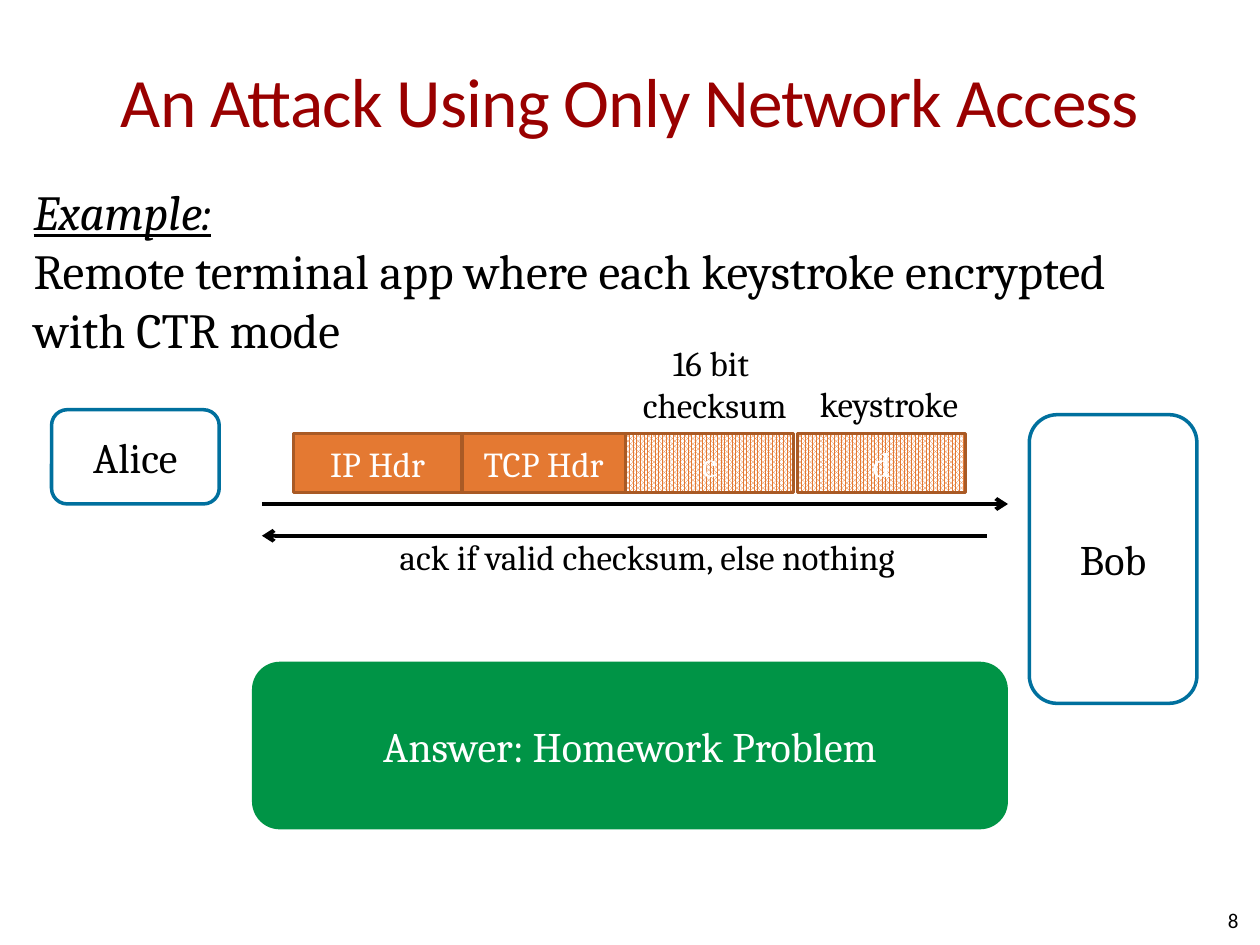
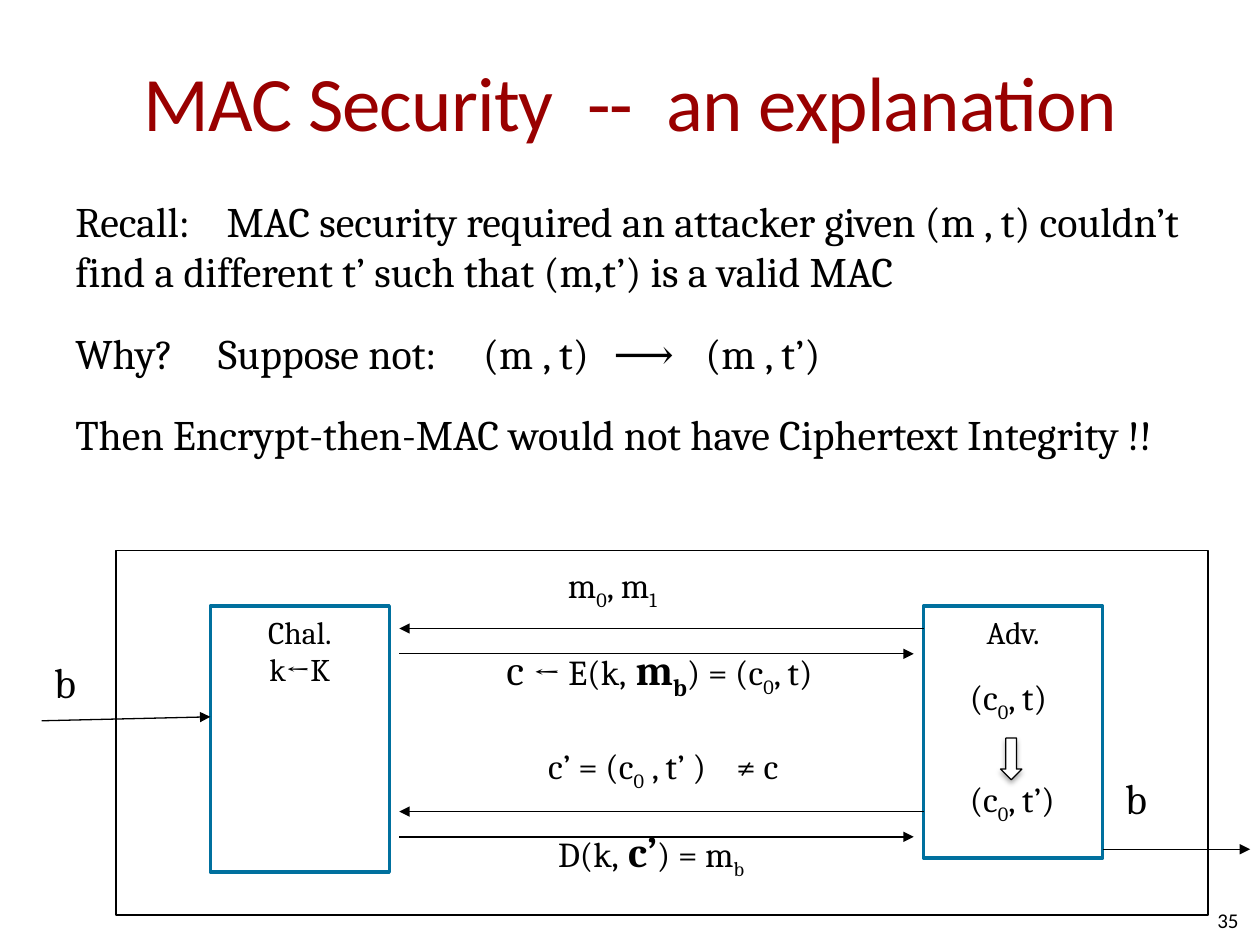
"""Build two lecture slides: a network attack on CTR mode, and why MAC security matters."""

from dataclasses import dataclass

from lxml.etree import SubElement
from pptx import Presentation
from pptx.dml.color import RGBColor
from pptx.enum.dml import MSO_PATTERN
from pptx.enum.shapes import MSO_CONNECTOR, MSO_SHAPE
from pptx.enum.text import MSO_ANCHOR, MSO_AUTO_SIZE, PP_ALIGN
from pptx.oxml.ns import qn
from pptx.util import Cm, Pt

BLACK = "000000"
WHITE = "FFFFFF"
TITLE_RED = "990000"
PARTY_BLUE = "00709E"
PACKET_ORANGE = "E47932"
PACKET_EDGE = "A95A25"
ANSWER_GREEN = "009446"
BODY_FONT = "Cambria"
TITLE_FONT = "Calibri"
TITLE_SPACING = -0.5
NO_INSETS = (0, 0)
TEXT_INSETS = (0.25, 0.13)


@dataclass(frozen=True)
class Span:
    text: str
    size: float | None = None
    bold: bool = False
    emphasis: bool = False
    subscript: bool = False
    spacing: float | None = None


@dataclass(frozen=True)
class Area:
    left: float
    top: float
    width: float
    height: float


@dataclass(frozen=True)
class TextStyle:
    size: float
    color: str = BLACK
    align: PP_ALIGN = PP_ALIGN.LEFT
    anchor: MSO_ANCHOR = MSO_ANCHOR.TOP
    insets: tuple = TEXT_INSETS
    wrap: bool = True
    font: str = BODY_FONT
    space_before: float = 0
    fit: bool = False


@dataclass(frozen=True)
class Box:
    area: Area
    lines: tuple = ()
    style: TextStyle | None = None
    preset: MSO_SHAPE = MSO_SHAPE.RECTANGLE
    fill: str | None = WHITE
    edge: str | None = PARTY_BLUE
    edge_width: float = 2
    hatched: bool = False


@dataclass(frozen=True)
class Label:
    area: Area
    lines: tuple
    style: TextStyle


@dataclass(frozen=True)
class Arrow:
    start: tuple
    end: tuple
    width: float = 0.75
    head: str = "triangle"


def centred(size: float, color: str = BLACK) -> TextStyle:
    return TextStyle(size, color, PP_ALIGN.CENTER, MSO_ANCHOR.MIDDLE, NO_INSETS)


TITLE_INSETS = (0, 0.13)
NUMBER = TextStyle(12, align=PP_ALIGN.RIGHT, anchor=MSO_ANCHOR.MIDDLE,
                   insets=NO_INSETS, font=TITLE_FONT)
INTRO = TextStyle(28)
RECALL = TextStyle(24, space_before=17.8)
FIELD = centred(20, WHITE)
PARTY = centred(24)
ANSWER = centred(24, WHITE)
CAPTION = TextStyle(20, align=PP_ALIGN.CENTER, insets=NO_INSETS, wrap=False, fit=True)
MESSAGE = TextStyle(20, wrap=False, fit=True)
BIT = TextStyle(24, wrap=False, fit=True)
PLAYER = TextStyle(18, align=PP_ALIGN.CENTER, wrap=False)


def rgb(color: str) -> RGBColor:
    return RGBColor.from_string(color)


def place(shape, area: Area) -> None:
    shape.left, shape.top = Cm(area.left), Cm(area.top)
    shape.width, shape.height = Cm(area.width), Cm(area.height)


def add_span(para, span: Span) -> None:
    run = para.add_run()
    run.text = span.text
    if span.size:
        run.font.size = Pt(span.size)
    if span.bold:
        run.font.bold = True
    if span.emphasis:
        run.font.italic = run.font.underline = True
    properties = run._r.get_or_add_rPr()
    if span.subscript:
        properties.set("baseline", "-25000")
    if span.spacing is not None:
        properties.set("spc", str(round(span.spacing * 100)))


def add_tabs(para, stops: tuple) -> None:
    tab_list = SubElement(para._p.get_or_add_pPr(), qn("a:tabLst"))
    for stop in stops:
        SubElement(tab_list, qn("a:tab"), pos=str(Cm(stop)), algn="l")


def write(shape, lines: tuple, style: TextStyle, tabs: tuple = ()) -> None:
    frame = shape.text_frame
    frame.word_wrap = style.wrap
    frame.auto_size = MSO_AUTO_SIZE.SHAPE_TO_FIT_TEXT if style.fit else MSO_AUTO_SIZE.NONE
    frame.vertical_anchor = style.anchor
    frame.margin_left = frame.margin_right = Cm(style.insets[0])
    frame.margin_top = frame.margin_bottom = Cm(style.insets[1])
    for index, line in enumerate(lines):
        para = frame.add_paragraph() if index else frame.paragraphs[0]
        para.alignment = style.align
        para.space_before = Pt(style.space_before if index else 0)
        if index < len(tabs):
            add_tabs(para, tabs[index])
        para.font.name = style.font
        para.font.size = Pt(style.size)
        para.font.color.rgb = rgb(style.color)
        for span in (Span(line),) if isinstance(line, str) else line:
            add_span(para, span)


def draw_label(page, label: Label, tabs: tuple = ()) -> None:
    shape = page.shapes.add_textbox(0, 0, 0, 0)
    place(shape, label.area)
    write(shape, label.lines, label.style, tabs)


def draw_box(page, box: Box):
    shape = page.shapes.add_shape(box.preset, 0, 0, 0, 0)
    place(shape, box.area)
    shape.shadow.inherit = False
    if box.hatched:
        shape.fill.patterned()
        shape.fill.pattern = MSO_PATTERN.PERCENT_80
        shape.fill.fore_color.rgb = rgb(box.fill)
        shape.fill.back_color.rgb = rgb(WHITE)
    elif box.fill:
        shape.fill.solid()
        shape.fill.fore_color.rgb = rgb(box.fill)
    else:
        shape.fill.background()
    if box.edge:
        shape.line.color.rgb = rgb(box.edge)
        shape.line.width = Pt(box.edge_width)
    else:
        shape.line.fill.background()
    if box.style:
        write(shape, box.lines, box.style)
    return shape


def draw_arrow(page, arrow: Arrow) -> None:
    points = [Cm(length) for length in (*arrow.start, *arrow.end)]
    line = page.shapes.add_connector(MSO_CONNECTOR.STRAIGHT, *points)
    line.line.color.rgb = rgb(BLACK)
    line.line.width = Pt(arrow.width)
    SubElement(line.line._get_or_add_ln(), qn("a:tailEnd"), type=arrow.head)
    SubElement(line._element.spPr, qn("a:effectLst"))


def add_soft_shadow(shape) -> None:
    effects = shape._element.spPr.find(qn("a:effectLst"))
    shadow = SubElement(effects, qn("a:outerShdw"), blurRad=str(Pt(3.1)),
                        dist=str(Pt(1.8)), dir="5400000", rotWithShape="0")
    color = SubElement(shadow, qn("a:srgbClr"), val=BLACK)
    SubElement(color, qn("a:alpha"), val="35000")


def start_page(deck, title: tuple, size: float, number: str):
    page = deck.slides.add_slide(deck.slide_layouts[5])
    place(page.shapes.title, Area(1.27, 0.43, 22.86, 3.18))
    style = TextStyle(size, TITLE_RED, PP_ALIGN.CENTER, MSO_ANCHOR.MIDDLE,
                      TITLE_INSETS, font=TITLE_FONT)
    write(page.shapes.title, (title,), style)
    draw_label(page, Label(Area(19.05, 18.03, 5.92, 1.02), (number,), NUMBER))
    return page


def build_attack(deck) -> None:
    title = (Span("An Attack Using Only Network Access", spacing=TITLE_SPACING),)
    page = start_page(deck, title, 39.6, "8")
    draw_label(page, Label(Area(0.43, 3.53, 23.7, 3.84), (
        (Span("Example:", emphasis=True),),
        "Remote terminal app where each keystroke encrypted with CTR mode"), INTRO))

    packet = (("IP Hdr", 5.92, 3.39, False), ("TCP Hdr", 9.31, 3.3, False),
              ("c", 12.61, 3.39, True), ("d", 16.08, 3.39, True))
    for name, left, width, encrypted in packet:
        draw_box(page, Box(Area(left, 8.74, width, 1.19), (name,), FIELD,
                           fill=PACKET_ORANGE, edge=PACKET_EDGE, hatched=encrypted))

    rounded = MSO_SHAPE.ROUNDED_RECTANGLE
    for box in (
        Box(Area(1.04, 8.26, 3.38, 1.9), ("Alice",), PARTY, rounded),
        Box(Area(20.75, 8.36, 3.38, 5.82), ("Bob",), PARTY, rounded),
        Box(Area(5.08, 13.34, 15.24, 3.38), ("Answer: Homework Problem",), ANSWER,
            rounded, ANSWER_GREEN, None),
    ):
        draw_box(page, box)

    draw_arrow(page, Arrow((5.28, 10.16), (20.32, 10.16), 2.25, "arrow"))
    draw_arrow(page, Arrow((19.89, 10.8), (5.28, 10.8), 2.25, "arrow"))
    for area, lines in (
        (Area(12.9, 6.88, 3.02, 1.7), ("16 bit ", "checksum")),
        (Area(16.41, 7.72, 3.02, 0.86), ("keystroke",)),
        (Area(7.82, 10.8, 10.46, 0.86), ("ack if valid checksum, else nothing",)),
    ):
        draw_label(page, Label(area, lines, CAPTION))


def build_mac_security(deck) -> None:
    words = [Span(text, spacing=TITLE_SPACING)
             for text in ("MAC Security", "--", "an explanation")]
    gap = Span(" ", spacing=9)
    page = start_page(deck, (words[0], gap, words[1], gap, words[2]), 44, "35")
    draw_label(page, Label(Area(1.27, 3.81, 22.86, 13.2), (
        "Recall:\tMAC security required an attacker given (m , t) couldn’t "
        "find a different t’ such that (m,t’) is a valid MAC",
        "Why?\tSuppose not:\t(m , t)\t⟶\t(m , t’)",
        "Then Encrypt-then-MAC would not have Ciphertext Integrity !!"), RECALL),
        ((3.05,), (2.88, 8.22, 10.85, 12.7)))

    draw_box(page, Box(Area(4.24, 12.22, 3.61, 5.36), ("Chal.", "k←K"), PLAYER))
    draw_box(page, Box(Area(18.62, 12.22, 3.61, 5.08), ("Adv.",), PLAYER))
    draw_box(page, Box(Area(2.34, 11.1, 22.02, 7.34), fill=None, edge=BLACK, edge_width=1))
    add_soft_shadow(draw_box(page, Box(Area(20.17, 14.88, 0.43, 0.84),
                                       preset=MSO_SHAPE.DOWN_ARROW, edge=BLACK,
                                       edge_width=0.75)))

    for query_top in (12.67, 16.36):
        reply_top = query_top + 0.51
        draw_arrow(page, Arrow((18.62, query_top), (8.05, query_top)))
        draw_arrow(page, Arrow((8.05, reply_top), (18.42, reply_top)))
    draw_arrow(page, Arrow((0.84, 14.53), (4.24, 14.45)))
    draw_arrow(page, Arrow((22.23, 17.12), (25.2, 17.12)))

    zero = Span("0", subscript=True)
    for area, spans in (
        (Area(11.2, 11.23, 2.54, 1.12),
         (Span("m"), zero, Span(", m"), Span("1", subscript=True))),
        (Area(9.96, 12.85, 7.06, 1.3),
         (Span("c ", 24), Span("← E(k,"), Span(" m", 24, bold=True),
          Span("b", 24, bold=True, subscript=True), Span(") = (c"), zero, Span(", t)"))),
        (Area(10.8, 14.88, 5.33, 1.12),
         (Span("c’ = (c"), zero, Span(" , t’ )"), Span(" ", spacing=13), Span("≠ c"))),
        (Area(11, 16.51, 4.39, 1.3),
         (Span("D(k,"), Span(" c’", 24, bold=True), Span(") = m"),
          Span("b", subscript=True))),
        (Area(19.3, 13.49, 2.18, 1.12), (Span("(c"), zero, Span(", t)"))),
        (Area(19.3, 15.54, 2.34, 1.12), (Span("(c"), zero, Span(", t’)"))),
    ):
        draw_label(page, Label(area, (spans,), MESSAGE))
    for left, top in ((0.84, 13.11), (22.43, 15.44)):
        draw_label(page, Label(Area(left, top, 0.99, 1.27), ("b",), BIT))


def main() -> None:
    deck = Presentation()
    deck.slide_width, deck.slide_height = Cm(25.4), Cm(19.05)
    build_attack(deck)
    build_mac_security(deck)
    deck.save("out.pptx")


if __name__ == "__main__":
    main()
